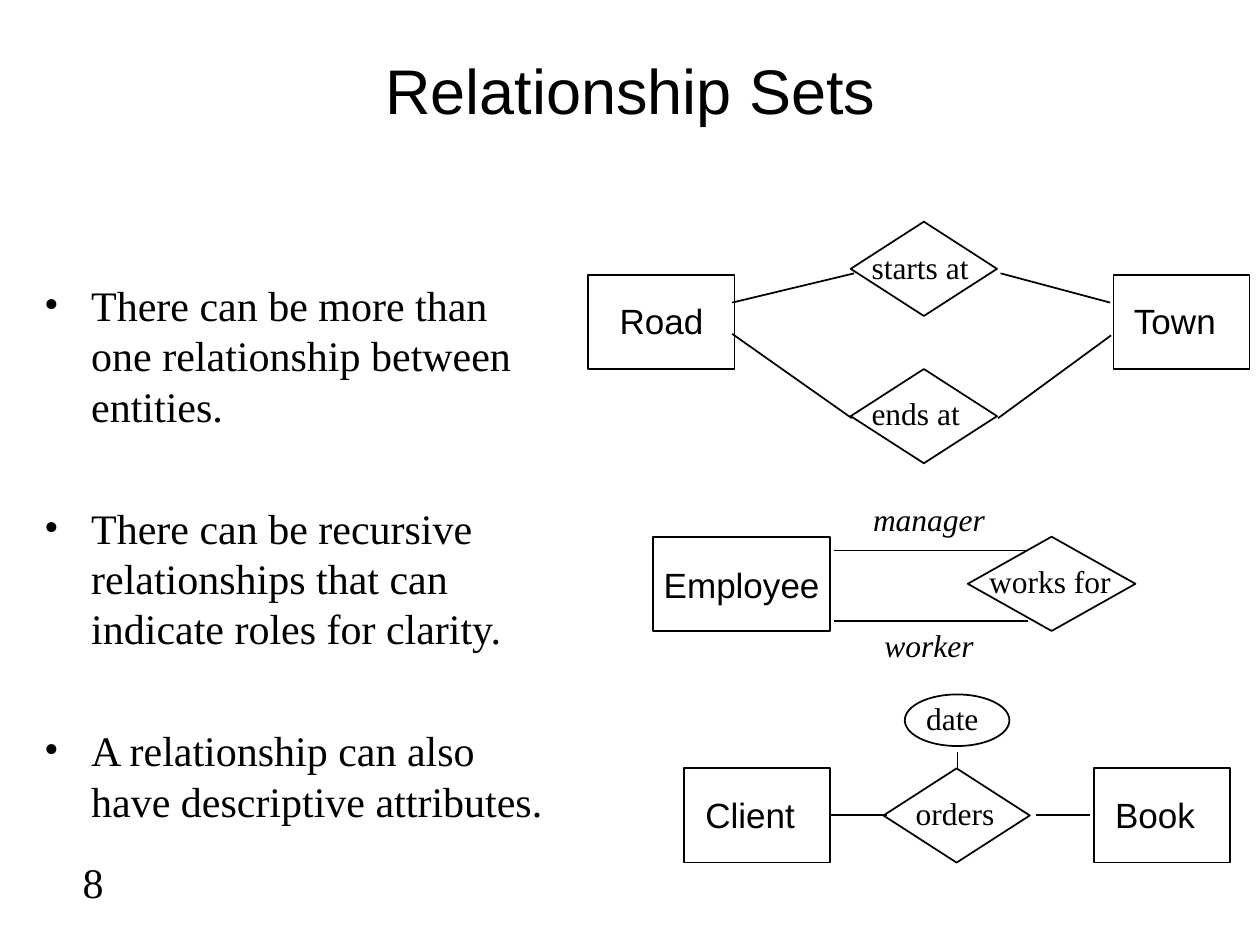
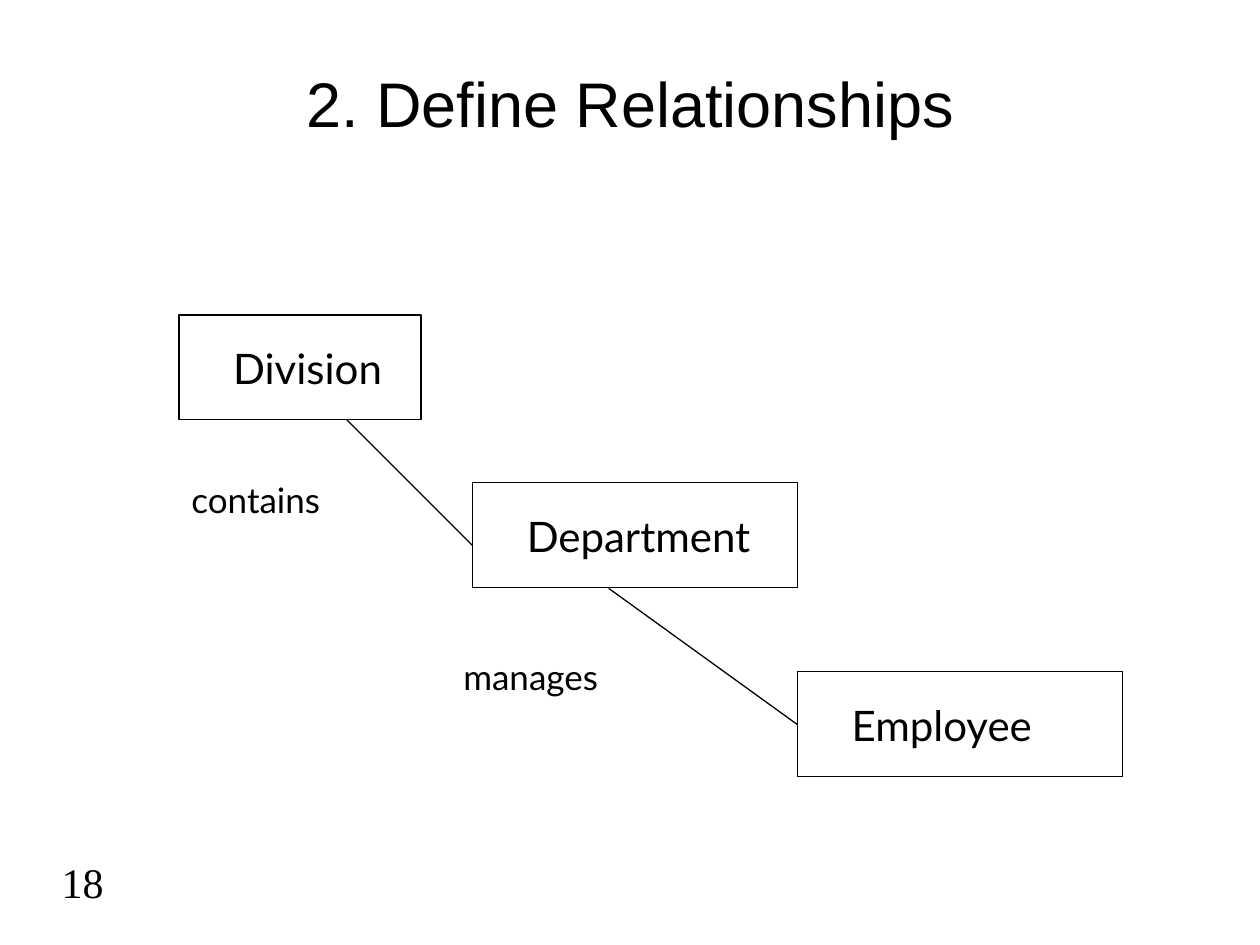
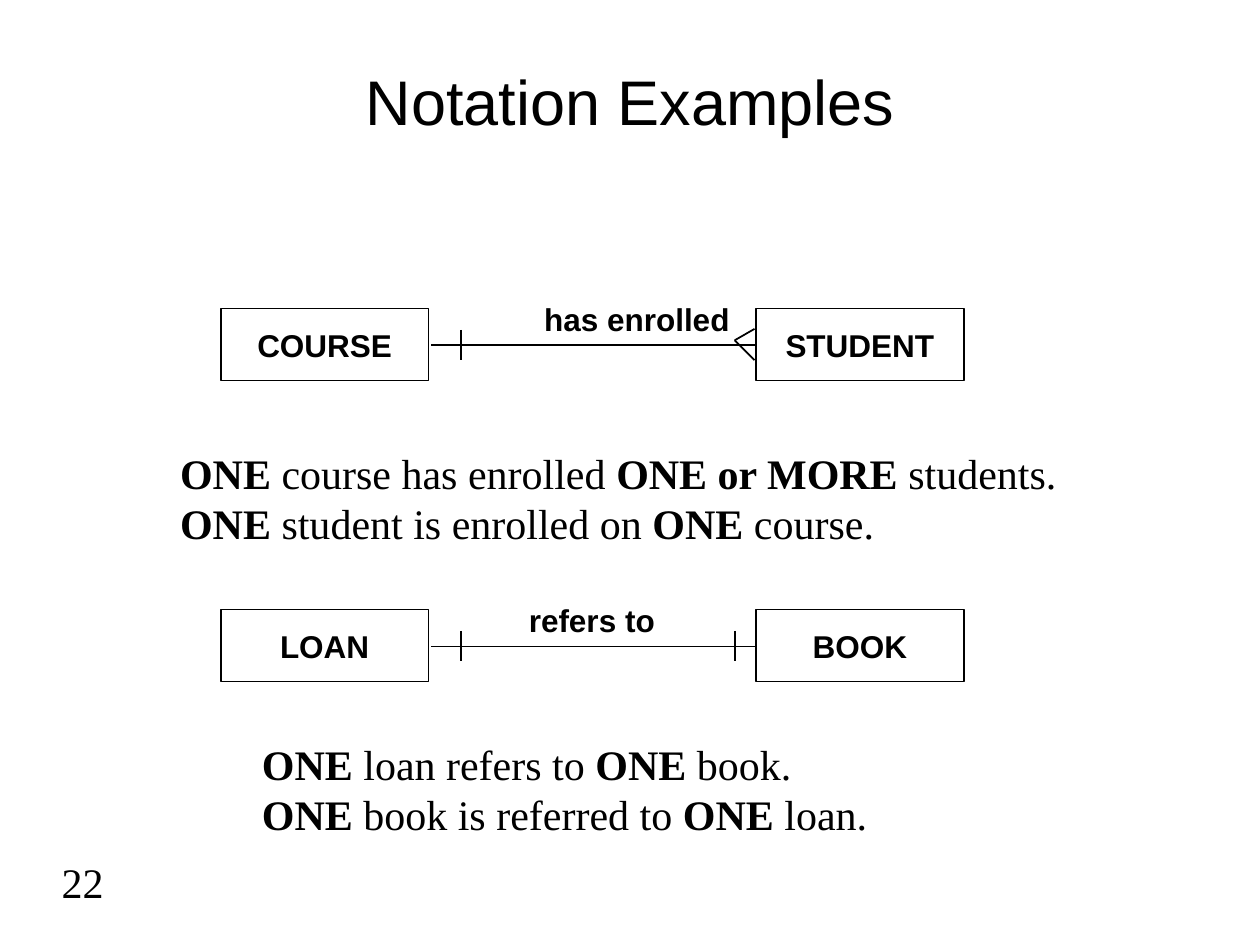
from typing import NamedTuple

from lxml.etree import SubElement
from pptx import Presentation
from pptx.dml.color import RGBColor
from pptx.enum.shapes import MSO_CONNECTOR as Link, MSO_SHAPE as Kind
from pptx.enum.text import MSO_ANCHOR as Anchor, PP_ALIGN as Align
from pptx.oxml.ns import qn
from pptx.slide import Slide
from pptx.util import Cm, Pt

BLACK = RGBColor(0, 0, 0)
WHITE = RGBColor(255, 255, 255)
SANS, SERIF, LATO = "Arial", "Times New Roman", "Lato"
HANG = Cm(0.95)
BOX_W, BOX_H = 4.19, 1.45


class Font(NamedTuple):
    """A typeface with its size and style."""
    name: str
    size: int
    bold: bool | None = None
    slant: bool = False


class Area(NamedTuple):
    """A rectangle in centimetres."""
    x: float
    y: float
    w: float
    h: float


class Node(NamedTuple):
    """An outlined shape of the diagram."""
    kind: Kind
    area: Area


class Line(NamedTuple):
    """A straight line between two points in centimetres."""
    x1: float
    y1: float
    x2: float
    y2: float


class Label(NamedTuple):
    """Text in an area, with bold parts between asterisks."""
    text: str
    area: Area
    font: Font
    align: Align = Align.LEFT
    anchor: Anchor = Anchor.TOP


class Pair(NamedTuple):
    """Two entities joined by a named relationship."""
    left: str
    right: str
    verb: str
    top: float
    verb_x: float
    verb_w: float
    many: bool


TITLE = Font(SANS, 36)
BODY = Font(SERIF, 24)
ENTITY = Font(SANS, 20)
VERB = Font(SERIF, 18)
ROLE = Font(SERIF, 18, slant=True)
LEVEL = Font(LATO, 24)
TIE = Font(LATO, 20)
MARK = Font(SANS, 18, bold=True)

POINTS = [
    "There can be more than one relationship between entities.",
    "There can be recursive relationships that can indicate roles for clarity.",
    "A relationship can also have descriptive attributes.",
]
SETS = [
    Node(Kind.RECTANGLE, Area(11.86, 5.54, 2.95, 1.9)),
    Node(Kind.RECTANGLE, Area(22.45, 5.54, 2.74, 1.9)),
    Node(Kind.DIAMOND, Area(17.15, 4.47, 2.95, 1.9)),
    Node(Kind.DIAMOND, Area(17.15, 7.44, 2.95, 1.9)),
    Node(Kind.RECTANGLE, Area(13.16, 10.82, 3.58, 1.9)),
    Node(Kind.DIAMOND, Area(19.51, 10.82, 3.38, 1.9)),
    Node(Kind.RECTANGLE, Area(13.79, 15.49, 2.95, 1.9)),
    Node(Kind.RECTANGLE, Area(22.05, 15.49, 2.74, 1.9)),
    Node(Kind.DIAMOND, Area(17.81, 15.49, 2.95, 1.9)),
    Node(Kind.OVAL, Area(18.24, 14, 2.11, 1.04)),
]
SET_LINES = [
    Line(17.22, 5.51, 14.76, 6.1),
    Line(17.17, 8.43, 14.76, 6.73),
    Line(20.17, 5.51, 22.38, 6.1),
    Line(20.12, 8.43, 22.4, 6.76),
    Line(17.88, 16.43, 16.71, 16.43),
    Line(20.88, 16.43, 21.97, 16.43),
    Line(19.3, 15.16, 19.3, 15.49),
    Line(16.81, 11.1, 20.68, 11.1),
    Line(16.81, 12.52, 20.73, 12.52),
]
SET_LABELS = [
    Label("Road", Area(12.24, 5.92, 2.5, 1.09), ENTITY),
    Label("Town", Area(22.61, 5.92, 2.5, 1.09), ENTITY),
    Label("starts at", Area(17.32, 4.88, 2.8, 1.02), VERB),
    Label("ends at", Area(17.32, 7.82, 2.6, 1.02), VERB),
    Label("Employee", Area(13.13, 11.23, 4, 1.09), ENTITY),
    Label("works for", Area(19.69, 11.2, 3.3, 1.02), VERB),
    Label("Client", Area(13.97, 15.88, 2.6, 1.09), ENTITY),
    Label("Book", Area(22.23, 15.88, 2.5, 1.09), ENTITY),
    Label("orders", Area(18.21, 15.88, 2.4, 1.02), VERB),
    Label("date", Area(18.42, 13.97, 1.9, 1.02), VERB),
    Label("manager", Area(17.35, 9.96, 3.1, 1.02), ROLE),
    Label("worker", Area(17.58, 12.5, 2.6, 1.02), ROLE),
]
LEVELS = {
    "Division": Area(3.61, 6.35, 4.88, 2.11),
    "Department": Area(9.53, 9.73, 6.55, 2.11),
    "Employee": Area(16.08, 13.54, 6.55, 2.11),
}
TIES = [
    Label("contains", Area(3.61, 9.53, 4.01, 1.12), TIE),
    Label("manages", Area(9.09, 13.08, 4.01, 1.12), TIE),
]
TIE_LINES = [Line(6.99, 8.46, 9.53, 11), Line(12.27, 11.86, 16.08, 14.61)]
PAIRS = [
    Pair("COURSE", "STUDENT", "has enrolled", 6.22, 10.72, 4.6, True),
    Pair("LOAN", "BOOK", "refers to", 12.29, 10.41, 3.4, False),
]
RULES = [
    Label("*ONE* course has enrolled *ONE or MORE* students.\n"
          "*ONE* student is enrolled on *ONE* course.",
          Area(3.38, 8.89, 19, 2.29), BODY),
    Label("*ONE* loan refers to *ONE* book.\n"
          "*ONE* book is referred to *ONE* loan.",
          Area(5.03, 14.76, 13.5, 2.29), BODY),
]


def place(area: Area) -> list[Cm]:
    """Turn an area into lengths."""
    return [Cm(side) for side in area]


def set_font(para, font: Font) -> None:
    """Give a paragraph its font in black."""
    face = para.font
    face.name, face.size = font.name, Pt(font.size)
    face.bold, face.italic = font.bold, font.slant
    face.color.rgb = BLACK


def fill_text(frame, label: Label) -> None:
    """Write a label into a text frame."""
    frame.word_wrap = True
    frame.vertical_anchor = label.anchor
    for at, row in enumerate(label.text.split("\n")):
        para = frame.paragraphs[0] if at == 0 else frame.add_paragraph()
        para.alignment = label.align
        for spot, part in enumerate(row.split("*")):
            if part:
                run = para.add_run()
                run.text = part
                if spot % 2:
                    run.font.bold = True
        set_font(para, label.font)


def add_label(slide: Slide, label: Label) -> None:
    """Add a text box."""
    fill_text(slide.shapes.add_textbox(*place(label.area)).text_frame, label)


def add_node(slide: Slide, node: Node, width: float = 1):
    """Add an outlined shape without fill."""
    shape = slide.shapes.add_shape(node.kind, *place(node.area))
    shape.shadow.inherit = False
    shape.fill.background()
    shape.line.color.rgb = BLACK
    shape.line.width = Pt(width)
    return shape


def add_line(slide: Slide, line: Line, width: float = 1) -> None:
    """Add a straight black line."""
    link = slide.shapes.add_connector(Link.STRAIGHT, *[Cm(end) for end in line])
    link.line.color.rgb = BLACK
    link.line.width = Pt(width)
    SubElement(link._element.spPr, qn("a:effectLst"))


def add_points(slide: Slide) -> None:
    """Add the bulleted list."""
    frame = slide.shapes.add_textbox(*place(Area(0.64, 5.51, 10.59, 9.73))).text_frame
    frame.word_wrap = True
    for at, point in enumerate(POINTS):
        para = frame.paragraphs[0] if at == 0 else frame.add_paragraph()
        props = para._p.get_or_add_pPr()
        props.set("marL", str(HANG))
        props.set("indent", str(-HANG))
        if at:
            para.space_before = Pt(40.8)
        SubElement(props, qn("a:buFont"), typeface=SERIF)
        SubElement(props, qn("a:buChar"), char="•")
        para.text = point
        set_font(para, BODY)


def add_pair(slide: Slide, pair: Pair) -> None:
    """Draw two entities with their link, ends and verb."""
    top = pair.top
    for name, x in ((pair.left, 4.45), (pair.right, 15.24)):
        area = Area(x, top, BOX_W, BOX_H)
        box = add_node(slide, Node(Kind.RECTANGLE, area))
        box.fill.solid()
        box.fill.fore_color.rgb = WHITE
        fill_text(box.text_frame, Label(name, area, MARK, Align.CENTER, Anchor.MIDDLE))
    ends = [(8.69, 0.74, 15.21, 0.74), (9.3, 0.43, 9.3, 1.03)]
    if pair.many:
        ends += [(14.81, 0.64, 15.21, y) for y in (0.41, 1.04)]
    else:
        ends.append((14.81, 0.43, 14.81, 1.03))
    for x1, y1, x2, y2 in ends:
        add_line(slide, Line(x1, top + y1, x2, top + y2))
    add_label(slide, Label(pair.verb, Area(pair.verb_x, top - 0.3, pair.verb_w, 1.02), MARK))


def add_slide(deck, title: str, page: int, y: float, h: float,
              anchor: Anchor = Anchor.MIDDLE) -> Slide:
    """Add a blank slide with its title and page number."""
    slide = deck.slides.add_slide(deck.slide_layouts[6])
    add_label(slide, Label(title, Area(1.91, y, 21.59, h), TITLE, Align.CENTER, anchor))
    add_label(slide, Label(str(page), Area(0.43, 17.15, 1.91, 1.27), BODY, Align.RIGHT))
    return slide


def draw_sets(deck) -> None:
    """Draw the relationship sets."""
    slide = add_slide(deck, "Relationship Sets", 8, 0.64, 2.34)
    add_points(slide)
    for node in SETS:
        add_node(slide, node)
    for line in SET_LINES:
        add_line(slide, line)
    for label in SET_LABELS:
        add_label(slide, label)


def draw_levels(deck) -> None:
    """Draw the chain of levels."""
    slide = add_slide(deck, "2. Define Relationships", 18, 0.84, 2.11, Anchor.BOTTOM)
    for name, area in LEVELS.items():
        add_node(slide, Node(Kind.RECTANGLE, area), 0.75)
        spot = Area(area.x + 0.84, area.y + 0.43, area.w - 1.07, 1.27)
        add_label(slide, Label(name, spot, LEVEL))
    for line in TIE_LINES:
        add_line(slide, line, 0.75)
    for label in TIES:
        add_label(slide, label)


def draw_pairs(deck) -> None:
    """Draw the notation examples."""
    slide = add_slide(deck, "Notation Examples", 22, 0.43, 3.18)
    for pair in PAIRS:
        add_pair(slide, pair)
    for rule in RULES:
        add_label(slide, rule)


def main() -> None:
    """Build and save the deck."""
    deck = Presentation()
    deck.slide_width, deck.slide_height = Cm(25.4), Cm(19.05)
    draw_sets(deck)
    draw_levels(deck)
    draw_pairs(deck)
    deck.save("out.pptx")


if __name__ == "__main__":
    main()
